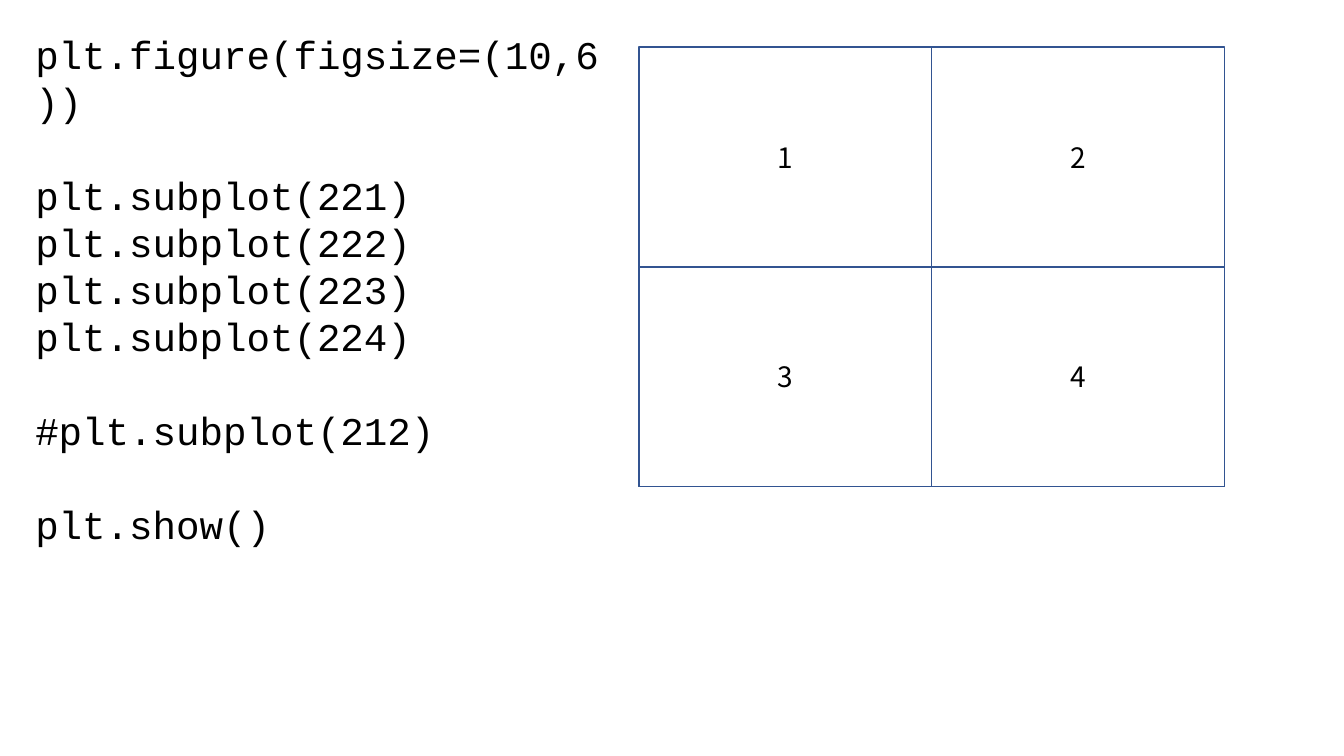
from dataclasses import dataclass

from pptx import Presentation
from pptx import util as u
from pptx.dml.color import RGBColor
from pptx.enum import shapes, text


@dataclass(frozen=True)
class Theme:
    ink: RGBColor = RGBColor(0, 0, 0)
    paper: RGBColor = RGBColor(255, 255, 255)
    border: RGBColor = RGBColor.from_string("325491")
    code_font: str = "Courier New"
    label_font: str = "Noto Sans CJK KR"
    code_size: u.Pt = u.Pt(28)
    code_leading: u.Pt = u.Pt(33.6)
    label_size: u.Pt = u.Pt(20)


class SlideBuilder:
    def __init__(self, s, theme):
        self.s = s
        self.theme = theme

    def style(self, p, **formats):
        for name, value in formats.items():
            setattr(p.font, name, value)
        p.font.color.rgb = self.theme.ink

    def code(self, blocks, left, top, width, height):
        t = self.theme
        tf = self.s.shapes.add_textbox(left, top, width, height).text_frame
        tf.word_wrap = True
        for b, block in enumerate(blocks):
            for i, line in enumerate(block):
                first = b == i == 0
                p = tf.paragraphs[0] if first else tf.add_paragraph()
                p.text = line
                p.line_spacing = t.code_leading
                if b and i == 0:
                    p.space_before = t.code_leading
                self.style(p, name=t.code_font, size=t.code_size)

    def box(self, left, top, width, height, label=None):
        t = self.theme
        sp = self.s.shapes.add_shape(
            shapes.MSO_SHAPE.RECTANGLE, left, top, width, height)
        sp.shadow.inherit = False
        sp.line.color.rgb = t.border
        sp.line.width = u.Pt(1)
        if label is None:
            sp.fill.background()
            return
        sp.fill.solid()
        sp.fill.fore_color.rgb = t.paper
        tf = sp.text_frame
        tf.vertical_anchor = text.MSO_ANCHOR.MIDDLE
        p = tf.paragraphs[0]
        p.text = label
        p.alignment = text.PP_ALIGN.CENTER
        self.style(p, name=t.label_font, size=t.label_size)

    def grid(self, left, top, width, height, rows, cols):
        self.box(left, top, width, height)
        w, h = width // cols, height // rows
        for i in range(rows * cols):
            row, col = divmod(i, cols)
            self.box(left + col * w, top + row * h, w, h, str(i + 1))


def main():
    prs = Presentation()
    prs.slide_width, prs.slide_height = u.Cm(33.87), u.Cm(19.05)
    slide = SlideBuilder(prs.slides.add_slide(prs.slide_layouts[6]), Theme())
    slide.code(
        [
            ["plt.figure(figsize=(10,6))"],
            [f"plt.subplot({n})" for n in range(221, 225)],
            ["#plt.subplot(212)"],
            ["plt.show()"],
        ],
        u.Cm(0.64), u.Cm(0.64), u.Cm(14.76), u.Cm(12.22))
    slide.grid(u.Cm(16.1), u.Cm(1.19), u.Cm(14.76), u.Cm(11.07), 2, 2)
    prs.save("out.pptx")


if __name__ == "__main__":
    main()
